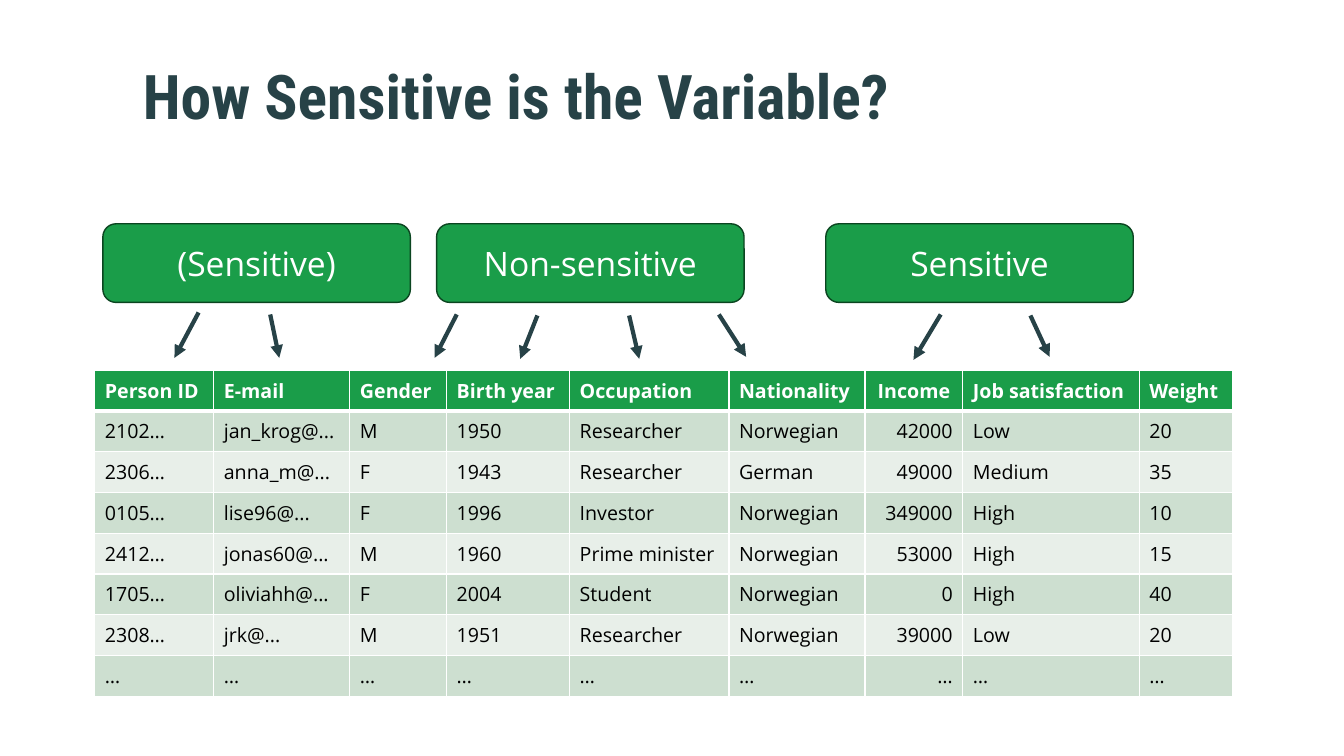
from dataclasses import dataclass

from lxml import etree
from pptx import Presentation
from pptx.dml.color import RGBColor
from pptx.enum.shapes import MSO_CONNECTOR, MSO_SHAPE
from pptx.enum.text import MSO_ANCHOR, PP_ALIGN
from pptx.oxml.ns import qn
from pptx.util import Inches, Pt

ROUNDED = MSO_SHAPE.ROUNDED_RECTANGLE
STRAIGHT = MSO_CONNECTOR.STRAIGHT
MIDDLE = MSO_ANCHOR.MIDDLE
LEFT, CENTER, RIGHT = PP_ALIGN.LEFT, PP_ALIGN.CENTER, PP_ALIGN.RIGHT


@dataclass(frozen=True)
class Theme:
    """Colours, fonts and type sizes of the slide."""

    green: str = "1A9D49"
    dark_green: str = "0B4520"
    slate: str = "274247"
    white: str = "FFFFFF"
    black: str = "000000"
    bands: tuple = ("CDDFD0", "E8EFE9")
    heading_font: str = "Roboto Condensed"
    body_font: str = "Open Sans"
    title_size: int = 44
    label_size: int = 24
    table_size: int = 14


TITLE = "How Sensitive is the Variable?"
LABELS = [("(Sensitive)", 1.02), ("Non-sensitive", 4.33), ("Sensitive", 8.19)]
ARROWS = [
    (1.97, 3.1, 1.73, 3.55),
    (2.68, 3.12, 2.77, 3.55),
    (4.53, 3.12, 4.31, 3.55),
    (5.33, 3.13, 5.16, 3.56),
    (6.24, 3.13, 6.34, 3.56),
    (7.13, 3.12, 7.4, 3.54),
    (9.33, 3.12, 9.06, 3.57),
    (10.22, 3.13, 10.41, 3.54),
]
COLUMNS = [
    ("Person ID", 1.18),
    ("E-mail", 1.35),
    ("Gender", 0.96),
    ("Birth year", 1.22),
    ("Occupation", 1.58),
    ("Nationality", 1.35),
    ("Income", 0.97),
    ("Job satisfaction", 1.75),
    ("Weight", 0.93),
]
PEOPLE = [
    ("2102…", "jan_krog@...", "M", "1950", "Researcher", "Norwegian", "42000", "Low", "20"),
    ("2306…", "anna_m@...", "F", "1943", "Researcher", "German", "49000", "Medium", "35"),
    ("0105…", "lise96@...", "F", "1996", "Investor", "Norwegian", "349000", "High", "10"),
    ("2412…", "jonas60@...", "M", "1960", "Prime minister", "Norwegian", "53000", "High", "15"),
    ("1705…", "oliviahh@...", "F", "2004", "Student", "Norwegian", "0", "High", "40"),
    ("2308…", "jrk@...", "M", "1951", "Researcher", "Norwegian", "39000", "Low", "20"),
    ("…",) * len(COLUMNS),
]


class SlideBuilder:
    """Adds styled elements to one slide."""

    def __init__(self, slide, theme):
        self.slide = slide
        self.theme = theme

    def set_text(self, text_frame, text, size, color, font, bold=False, align=LEFT):
        """Fill a text frame with one formatted paragraph."""
        text_frame.text = text
        paragraph = text_frame.paragraphs[0]
        paragraph.alignment = align
        for run in paragraph.runs:
            run.font.name = font
            run.font.size = Pt(size)
            run.font.bold = bold
            run.font.color.rgb = RGBColor.from_string(color)
        return paragraph

    def title(self, text, left, top, width, height):
        """Add the slide heading."""
        theme = self.theme
        box = self.slide.shapes.add_textbox(
            Inches(left), Inches(top), Inches(width), Inches(height))
        frame = box.text_frame
        frame.word_wrap = True
        frame.vertical_anchor = MIDDLE
        frame.margin_top = 0
        paragraph = self.set_text(
            frame, text, theme.title_size, theme.slate, theme.heading_font, bold=True)
        paragraph.line_spacing = 0.9

    def label(self, text, left, top, width, height):
        """Add a rounded category label."""
        theme = self.theme
        shape = self.slide.shapes.add_shape(
            ROUNDED, Inches(left), Inches(top), Inches(width), Inches(height))
        shape.shadow.inherit = False
        shape.fill.solid()
        shape.fill.fore_color.rgb = RGBColor.from_string(theme.green)
        shape.line.color.rgb = RGBColor.from_string(theme.dark_green)
        shape.line.width = Pt(1)
        shape.text_frame.vertical_anchor = MIDDLE
        self.set_text(shape.text_frame, text, theme.label_size, theme.white,
                      theme.body_font, align=CENTER)

    def arrow(self, *ends):
        """Add an arrow from a label towards a column."""
        connector = self.slide.shapes.add_connector(STRAIGHT, *map(Inches, ends))
        connector.line.color.rgb = RGBColor.from_string(self.theme.slate)
        connector.line.width = Pt(3)
        properties = connector.element.spPr
        etree.SubElement(properties.find(qn("a:ln")), qn("a:tailEnd"), type="triangle")
        etree.SubElement(properties, qn("a:effectLst"))

    def borders(self, cell, bottom):
        """Draw white cell borders with the given bottom width."""
        properties = cell._tc.get_or_add_tcPr()
        for side, width in (("L", 1), ("R", 1), ("T", 1), ("B", bottom)):
            line = etree.SubElement(properties, qn(f"a:ln{side}"), w=str(Pt(width)))
            fill = etree.SubElement(line, qn("a:solidFill"))
            etree.SubElement(fill, qn("a:srgbClr"), val=self.theme.white)

    def table(self, columns, rows, left, top, width, height):
        """Add a banded table under a green header row."""
        theme = self.theme
        content = [[name for name, _ in columns], *rows]
        table = self.slide.shapes.add_table(
            len(content), len(columns), Inches(left), Inches(top),
            Inches(width), Inches(height)).table
        for column, (_, column_width) in zip(table.columns, columns):
            column.width = Inches(column_width)
        for row_index, values in enumerate(content):
            header = row_index == 0
            background = theme.green if header else theme.bands[(row_index - 1) % 2]
            color = theme.white if header else theme.black
            for column_index, value in enumerate(values):
                align = LEFT
                if columns[column_index][0] == "Income":
                    align = CENTER if header else RIGHT
                cell = table.cell(row_index, column_index)
                self.borders(cell, 3 if header else 1)
                cell.fill.solid()
                cell.fill.fore_color.rgb = RGBColor.from_string(background)
                cell.vertical_anchor = MIDDLE
                self.set_text(cell.text_frame, value, theme.table_size, color,
                              theme.body_font, bold=header, align=align)


def main():
    """Build and save the slide."""
    presentation = Presentation()
    presentation.slide_width = Inches(13.33)
    presentation.slide_height = Inches(7.5)
    slide = presentation.slides.add_slide(presentation.slide_layouts[6])
    builder = SlideBuilder(slide, Theme())
    builder.title(TITLE, 1.32, 0.3, 10.56, 1.43)
    for text, left in LABELS:
        builder.label(text, left, 2.22, 3.05, 0.78)
    for ends in ARROWS:
        builder.arrow(*ends)
    builder.table(COLUMNS, PEOPLE, 0.94, 3.67, 11.3, 3.24)
    presentation.save("out.pptx")


if __name__ == "__main__":
    main()
